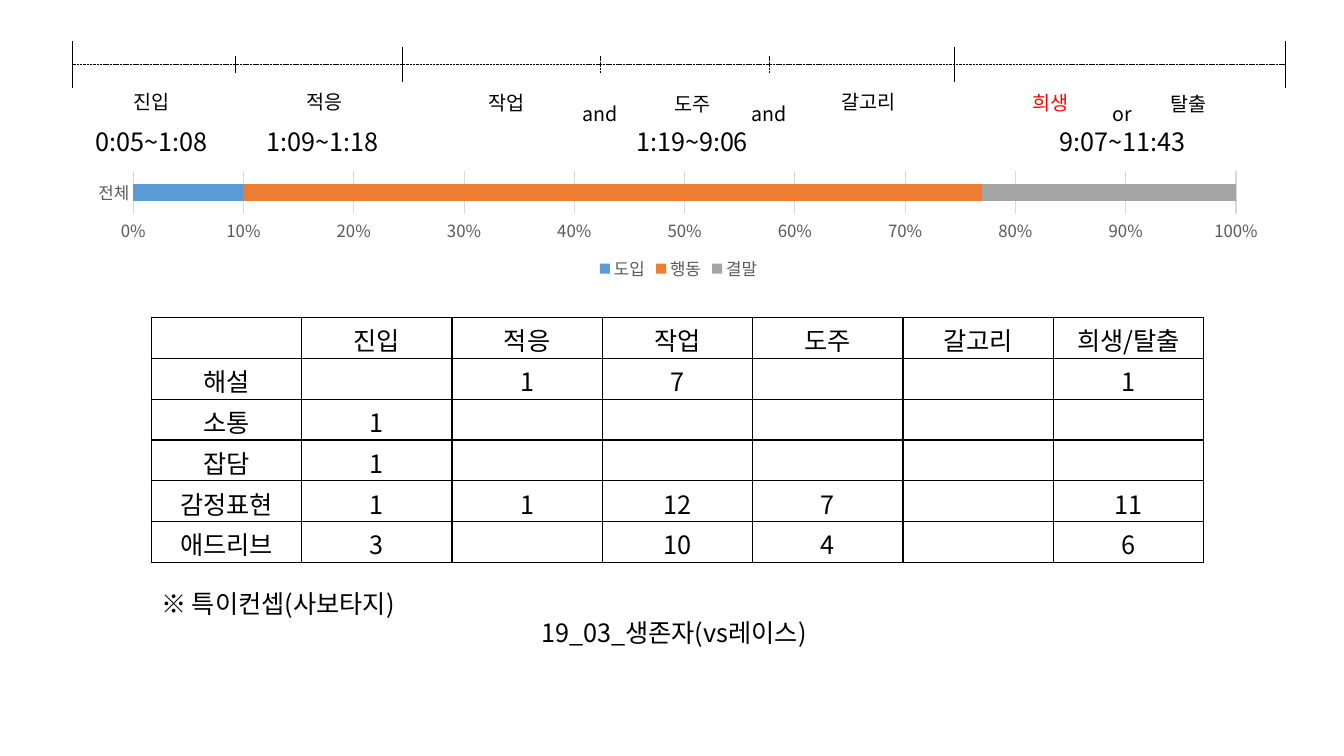
import pptx
import pptx.chart.data
import pptx.dml.color
import pptx.enum.chart
import pptx.enum.dml
import pptx.enum.shapes
import pptx.enum.text
import pptx.oxml
import pptx.oxml.ns
import pptx.util
from pptx.util import Inches

FONT = "Noto Sans CJK KR"
COLORS = {
    "ink": "000000", "accent": "FF0000", "label": "595959", "grid": "D9D9D9",
    "도입": "5B9BD5", "행동": "ED7D31", "결말": "A5A5A5",
}
SHARES = {"도입": 10, "행동": 67, "결말": 23}
COUNTS = [
    ["", "진입", "적응", "작업", "도주", "갈고리", "희생/탈출"],
    ["해설", "", "1", "7", "", "", "1"],
    ["소통", "1", "", "", "", "", ""],
    ["잡담", "1", "", "", "", "", ""],
    ["감정표현", "1", "1", "12", "7", "", "11"],
    ["애드리브", "3", "", "10", "4", "", "6"],
]
CENTER = pptx.enum.text.PP_ALIGN.CENTER
LEFT = pptx.enum.text.PP_ALIGN.LEFT
MIDDLE = pptx.enum.text.MSO_ANCHOR.MIDDLE


def rgb(name):
    return pptx.dml.color.RGBColor.from_string(COLORS[name])


def style_font(font, size, color="ink"):
    font.size = pptx.util.Pt(size)
    font.name = FONT
    font.color.rgb = rgb(color)


def style_run(run, size, color="ink"):
    style_font(run.font, size, color)
    east_asian = pptx.oxml.parse_xml(
        f'<a:ea {pptx.oxml.ns.nsdecls("a")} typeface="{FONT}"/>')
    run.font._element.append(east_asian)


def add_text(slide, box, text, size, color="ink", align=CENTER):
    label = slide.shapes.add_textbox(*map(Inches, box))
    frame = label.text_frame
    frame.word_wrap = True
    frame.vertical_anchor = MIDDLE
    if align == CENTER:
        frame.margin_left = frame.margin_right = 0
    frame.text = text
    frame.paragraphs[0].alignment = align
    style_run(frame.paragraphs[0].runs[0], size, color)


def add_line(slide, start, end, width=0.5, dashed=False):
    line = slide.shapes.add_connector(
        pptx.enum.shapes.MSO_CONNECTOR.STRAIGHT, *map(Inches, start + end))
    line.line.color.rgb = rgb("ink")
    line.line.width = pptx.util.Pt(width)
    if dashed:
        line.line.dash_style = pptx.enum.dml.MSO_LINE.SQUARE_DOT
    line._element.spPr.append(pptx.oxml.parse_xml(
        f'<a:effectLst {pptx.oxml.ns.nsdecls("a")}/>'))


def build_timeline(slide, left, top, width):
    # Axis and ticks: offset, half height, dashed
    axis = top + 0.23
    add_line(slide, (left, axis), (left + width, axis), 0.25, True)
    for offset, half, dashed in [
        (0, 0.23, False), (width, 0.23, False),
        (3.27, 0.17, False), (8.75, 0.17, False),
        (1.61, 0.08, False), (5.23, 0.08, True), (6.91, 0.08, True),
    ]:
        x = left + offset
        add_line(slide, (x, axis - half), (x, axis + half), 0.5, dashed)

    # Stage names and the words between them: offset, drop, width, height
    for text, x, y, w, h, color in [
        ("진입", 0.37, 0.43, 0.82, 0.34, "ink"),
        ("적응", 2.09, 0.43, 0.82, 0.34, "ink"),
        ("작업", 3.89, 0.44, 0.82, 0.34, "ink"),
        ("도주", 5.74, 0.45, 0.82, 0.34, "ink"),
        ("갈고리", 7.41, 0.43, 0.97, 0.34, "ink"),
        ("희생", 9.29, 0.44, 0.82, 0.34, "accent"),
        ("탈출", 10.66, 0.45, 0.82, 0.34, "ink"),
        ("and", 4.96, 0.43, 0.55, 0.57, "ink"),
        ("and", 6.63, 0.43, 0.55, 0.57, "ink"),
        ("or", 10.19, 0.55, 0.45, 0.34, "ink"),
    ]:
        add_text(slide, (left + x, top + y, w, h), text, 14, color)

    # Time ranges
    for text, x, w in [
        ("0:05~1:08", 0.06, 1.44), ("1:09~1:18", 1.76, 1.44),
        ("1:19~9:06", 5.33, 1.63), ("9:07~11:43", 9.6, 1.63),
    ]:
        add_text(slide, (left + x, top + 0.79, w, 0.4), text, 18)


def build_share_chart(slide, left, top, width, height):
    shares = pptx.chart.data.CategoryChartData()
    shares.categories = ["전체"]
    for phase, share in SHARES.items():
        shares.add_series(phase, [share])
    chart = slide.shapes.add_chart(
        pptx.enum.chart.XL_CHART_TYPE.BAR_STACKED_100,
        *map(Inches, (left, top, width, height)), shares).chart
    style_font(chart.font, 10)
    chart.has_title = False

    # Bars
    bars = chart.plots[0]
    bars.gap_width = 150
    bars.overlap = 100
    bars.vary_by_categories = False
    for phase in bars.series:
        phase.format.fill.solid()
        phase.format.fill.fore_color.rgb = rgb(phase.name)

    # Axes
    for axis in (chart.category_axis, chart.value_axis):
        axis.major_tick_mark = pptx.enum.chart.XL_TICK_MARK.NONE
        axis.minor_tick_mark = pptx.enum.chart.XL_TICK_MARK.NONE
        style_font(axis.tick_labels.font, 12, "label")
    percent = chart.value_axis
    percent.major_unit = 0.1
    percent.tick_labels.number_format = "0%"
    percent.tick_labels.number_format_is_linked = False
    percent.has_major_gridlines = True
    percent.format.line.fill.background()
    for line in (chart.category_axis.format.line,
                 percent.major_gridlines.format.line):
        line.color.rgb = rgb("grid")
        line.width = pptx.util.Pt(0.75)

    # Legend
    chart.has_legend = True
    chart.legend.position = pptx.enum.chart.XL_LEGEND_POSITION.BOTTOM
    chart.legend.include_in_layout = False
    style_font(chart.legend.font, 12, "label")

    # Plot area position as fractions of the chart
    plot_area = chart._chartSpace.chart.plotArea
    for layout in plot_area.findall(pptx.oxml.ns.qn("c:layout")):
        plot_area.remove(layout)
    fractions = "".join(f'<c:{key} val="{value}"/>' for key, value in [
        ("layoutTarget", "inner"), ("xMode", "edge"), ("yMode", "edge"),
        ("x", 0.05), ("y", 0.02), ("w", 0.91), ("h", 0.37)])
    plot_area.insert(0, pptx.oxml.parse_xml(
        f'<c:layout {pptx.oxml.ns.nsdecls("c")}>'
        f'<c:manualLayout>{fractions}</c:manualLayout></c:layout>'))


def add_borders(cell):
    properties = cell._tc.get_or_add_tcPr()
    for position, side in enumerate(("lnL", "lnR", "lnT", "lnB")):
        properties.insert(position, pptx.oxml.parse_xml(
            f'<a:{side} {pptx.oxml.ns.nsdecls("a")} w="12700"><a:solidFill>'
            f'<a:srgbClr val="{COLORS["ink"]}"/></a:solidFill></a:{side}>'))


def build_count_table(slide, left, top, width, height):
    rows, columns = len(COUNTS), len(COUNTS[0])
    table = slide.shapes.add_table(
        rows, columns, *map(Inches, (left, top, width, height))).table
    table.first_row = table.horz_banding = False
    for row, values in enumerate(COUNTS):
        table.rows[row].height = Inches(height / rows)
        for column, value in enumerate(values):
            cell = table.cell(row, column)
            cell.fill.background()
            cell.margin_top, cell.margin_bottom = Inches(0.04), 0
            cell.vertical_anchor = MIDDLE
            cell.text = value
            entry = cell.text_frame.paragraphs[0]
            entry.alignment = CENTER
            for run in entry.runs:
                style_run(run, 18)
            add_borders(cell)


def build_notes(slide, left, top):
    add_text(slide, (left, top, 3.83, 0.4), "※ 특이컨셉(사보타지)", 18, align=LEFT)
    add_text(slide, (left + 3.77, top + 0.28, 3.83, 0.4),
             "19_03_생존자(vs레이스)", 18, align=LEFT)


def main():
    deck = pptx.Presentation()
    deck.slide_width, deck.slide_height = Inches(13.33), Inches(7.5)
    slide = deck.slides.add_slide(deck.slide_layouts[6])
    build_timeline(slide, 0.72, 0.41, 12.03)
    build_count_table(slide, 1.5, 3.15, 10.44, 2.43)
    build_notes(slide, 1.5, 5.79)
    build_share_chart(slide, 0.72, 1.67, 12.02, 1.16)
    deck.save("out.pptx")


if __name__ == "__main__":
    main()
